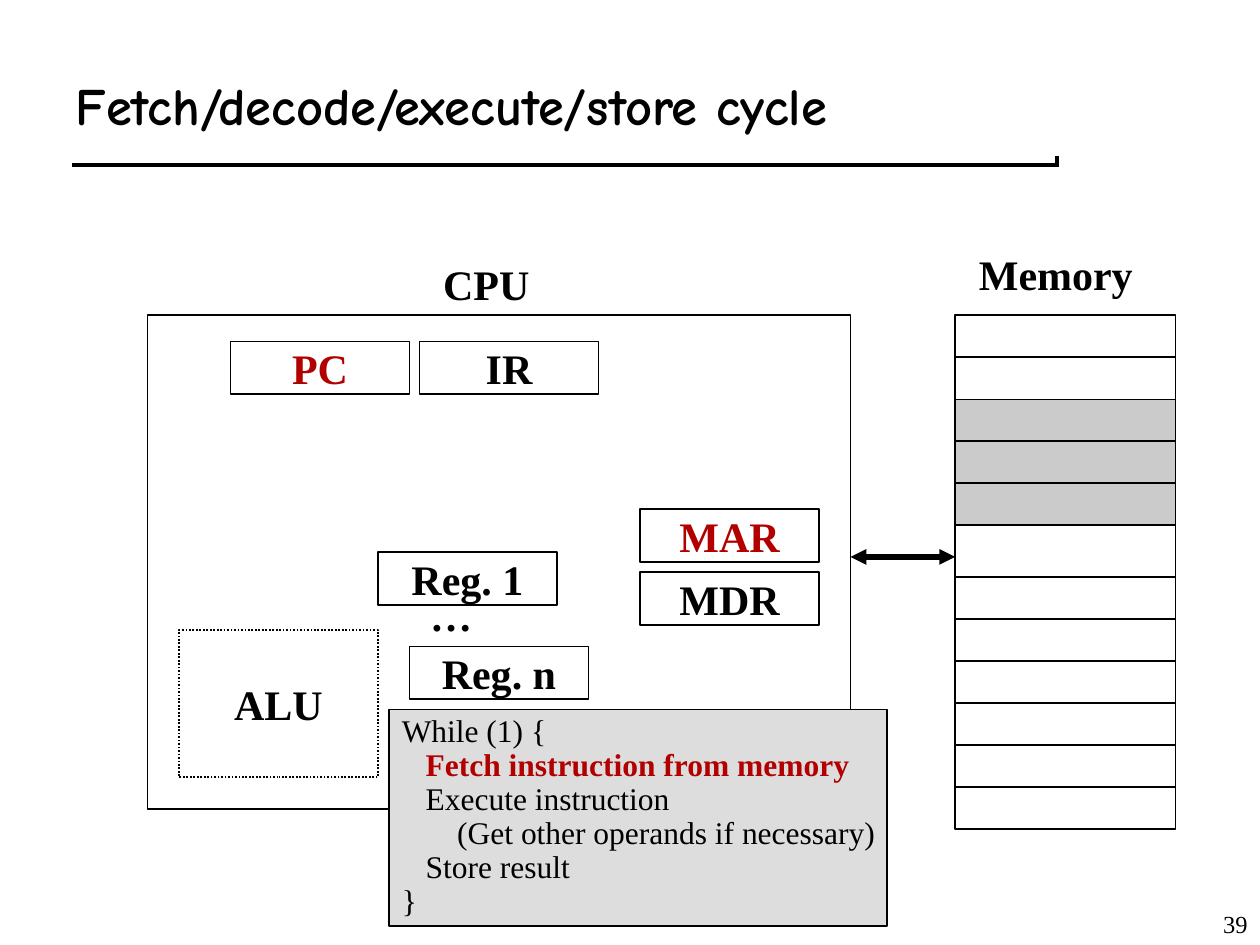
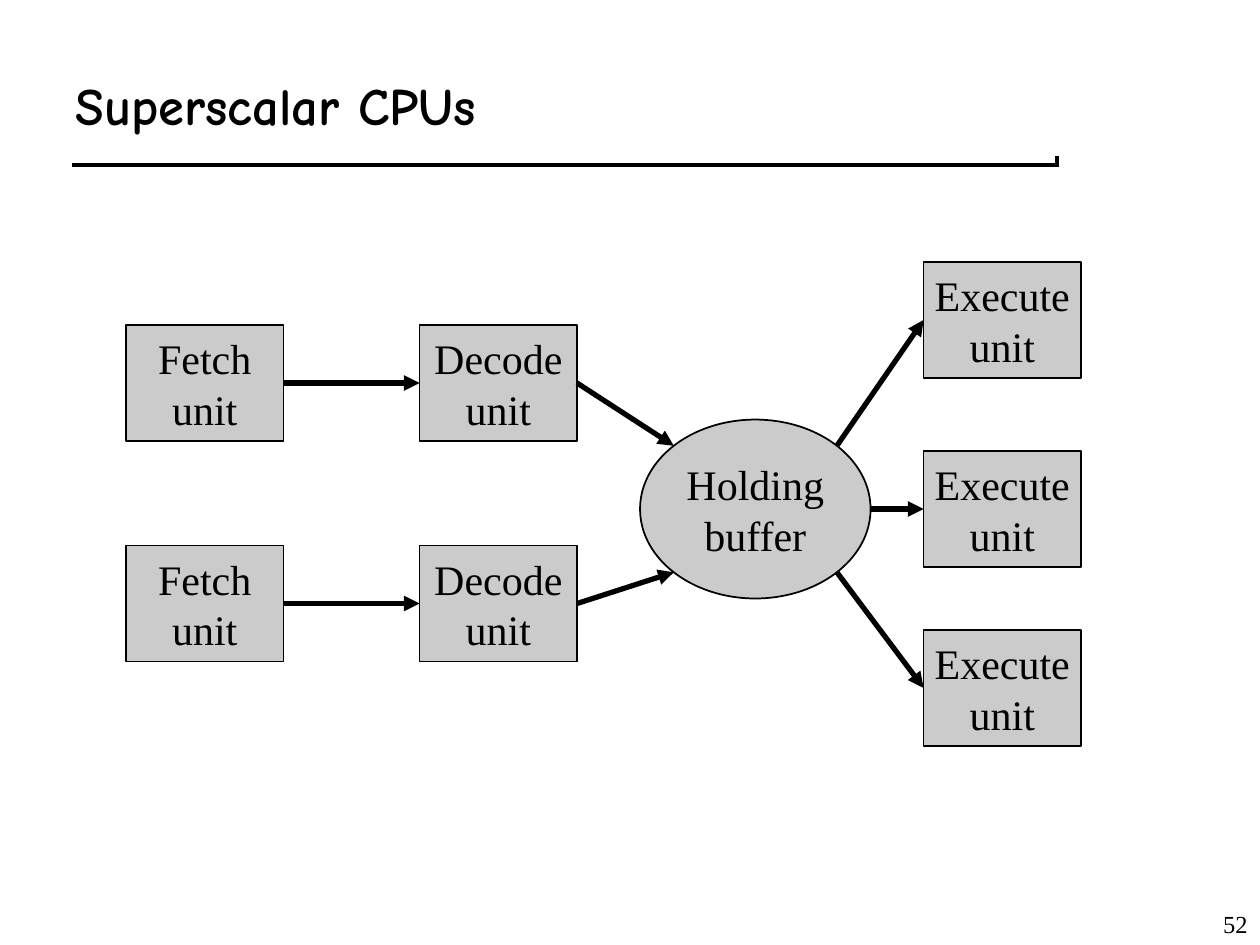
from math import sqrt

from lxml import etree
from pptx import Presentation
from pptx.dml.color import RGBColor
from pptx.enum.dml import MSO_LINE
from pptx.enum.shapes import MSO_CONNECTOR, MSO_SHAPE
from pptx.enum.text import MSO_ANCHOR, PP_ALIGN
from pptx.oxml.ns import qn
from pptx.util import Inches, Pt

RECT, OVAL = MSO_SHAPE.RECTANGLE, MSO_SHAPE.OVAL
STRAIGHT = MSO_CONNECTOR.STRAIGHT
DOTTED = MSO_LINE.ROUND_DOT
LEFT, CENTER, RIGHT = PP_ALIGN.LEFT, PP_ALIGN.CENTER, PP_ALIGN.RIGHT
TOP, MIDDLE, BOTTOM = MSO_ANCHOR.TOP, MSO_ANCHOR.MIDDLE, MSO_ANCHOR.BOTTOM

BLACK = RGBColor(0x00, 0x00, 0x00)
WHITE = RGBColor(0xFF, 0xFF, 0xFF)
RED = RGBColor(0xB2, 0x00, 0x00)
GREY = RGBColor(0xCB, 0xCB, 0xCB)
PALE_GREY = RGBColor(0xDD, 0xDD, 0xDD)

TITLE_FONT = "Comic Neue"
BODY_FONT = "Times New Roman"


def add_box(slide, kind, x, y, w, h, text="", fill=None, color=BLACK,
            size=24, bold=False, align=CENTER):
    """Add an outlined shape, or a plain text box when kind is None."""
    at = Inches(x), Inches(y), Inches(w), Inches(h)
    if kind is None:
        sp = slide.shapes.add_textbox(*at)
    else:
        sp = slide.shapes.add_shape(kind, *at)
        sp.shadow.inherit = False
        sp.line.color.rgb = BLACK
        sp.line.width = Pt(1)
        if fill is None:
            sp.fill.background()
        else:
            sp.fill.solid()
            sp.fill.fore_color.rgb = fill
    tf = sp.text_frame
    tf.word_wrap = False
    tf.vertical_anchor = MIDDLE
    tf.margin_top = tf.margin_bottom = 0
    tf.text = text
    for p in tf.paragraphs:
        p.alignment = align
        for r in p.runs:
            r.font.name = BODY_FONT
            r.font.size = Pt(size)
            r.font.bold = bold
            r.font.color.rgb = color
    return sp


def add_line(slide, x1, y1, x2, y2, width=1, color=BLACK, arrows=()):
    """Add a straight line; arrows may hold headEnd and tailEnd, in that order."""
    cx = slide.shapes.add_connector(STRAIGHT, Inches(x1), Inches(y1), Inches(x2), Inches(y2))
    cx.line.color.rgb = color
    cx.line.width = Pt(width)
    ln = cx.line._get_or_add_ln()
    for end in arrows:
        etree.SubElement(ln, qn("a:" + end), type="triangle")
    etree.SubElement(cx._element.spPr, qn("a:effectLst"))
    return cx


prs = Presentation()
prs.slide_width, prs.slide_height = Inches(10), Inches(7.5)

# Title, corner rule and number shared by both slides
slides = []
for title, number in (("Fetch/decode/execute/store cycle", "39"), ("Superscalar CPUs", "52")):
    slide = prs.slides.add_slide(prs.slide_layouts[5])
    slides.append(slide)
    for offset, color in ((0.03, BLACK), (0, WHITE)):
        rule = add_line(slide, 0.58 + offset, 1.25 + offset, 8.33 + offset, 1.25 + offset, 6, color)
        rule.line._get_or_add_ln().set("cap", "sq")

    sp = slide.shapes.title
    sp.left, sp.top, sp.width, sp.height = Inches(0.5), Inches(0.33), Inches(8.75), Inches(1)
    tf = sp.text_frame
    tf.text = title
    tf.vertical_anchor = MIDDLE
    p = tf.paragraphs[0]
    p.alignment = LEFT
    font = p.runs[0].font
    font.name, font.size, font.bold = TITLE_FONT, Pt(30), True
    font.color.rgb = BLACK

    tf = add_box(slide, None, 7.92, 7, 2.08, 0.5, number, size=14, align=RIGHT).text_frame
    tf.vertical_anchor = BOTTOM
    tf.margin_bottom = Inches(0.05)

cycle, superscalar = slides

# CPU with its registers
add_box(cycle, RECT, 1.17, 2.5, 5.58, 3.92)
for name, x, y, color in (
    ("PC", 1.83, 2.71, RED),
    ("IR", 3.33, 2.71, BLACK),
    ("MAR", 5.08, 4.04, RED),
    ("MDR", 5.08, 4.54, BLACK),
    ("Reg. 1", 3, 4.38, BLACK),
    ("Reg. n", 3.25, 5.13, BLACK),
):
    add_box(cycle, RECT, x, y, 1.42, 0.42, name, color=color, bold=True)
alu = add_box(cycle, RECT, 1.42, 5, 1.58, 1.17, "ALU", bold=True)
alu.line.dash_style = DOTTED
for label, x, y, w in (("CPU", 3.36, 2, 1), ("…", 3.28, 4.63, 0.6), ("Memory", 7.63, 1.92, 1.5)):
    add_box(cycle, None, x, y, w, 0.5, label, bold=True)

# Memory: one taller cell separates two runs of equal cells
MEM_X, MEM_W, CELL_H = 7.58, 1.75, 1 / 3
add_box(cycle, RECT, MEM_X, 3.17, MEM_W, 1, fill=GREY)
add_box(cycle, RECT, MEM_X, 2.5, MEM_W, 4.08)
for y in [2.5 + i * CELL_H for i in (1, 3, 4)] + [4.58 + i * CELL_H for i in range(6)]:
    add_line(cycle, MEM_X, y, MEM_X + MEM_W, y)
add_line(cycle, 6.75, 4.42, MEM_X, 4.42, 3, arrows=("headEnd", "tailEnd"))

# Pseudocode, indented by left margin
code = (
    ("While (1) {", 0),
    ("Fetch instruction from memory", 0.19),
    ("Execute instruction", 0.19),
    ("(Get other operands if necessary)", 0.44),
    ("Store result", 0.19),
    ("}", 0),
)
sp = add_box(cycle, RECT, 3.09, 5.63, 3.95, 1.72, "\n".join(line for line, _ in code),
             PALE_GREY, size=18, align=LEFT)
tf = sp.text_frame
tf.vertical_anchor = TOP
tf.margin_top = Inches(0.05)
for p, (_, indent) in zip(tf.paragraphs, code):
    p.line_spacing = 0.9
    p._p.get_or_add_pPr().set("marL", str(Inches(indent)))
fetch_font = tf.paragraphs[1].runs[0].font
fetch_font.bold = True
fetch_font.color.rgb = RED

# Superscalar pipeline: two fetch/decode lanes, a buffer, three execute units
UNIT_W, UNIT_H = 1.25, 0.92
BUF_X, BUF_Y, BUF_W, BUF_H = 5.08, 3.33, 1.83, 1.42
buf_cx, buf_cy = BUF_X + BUF_W / 2, BUF_Y + BUF_H / 2
diag_x, diag_y = BUF_W / 2 * sqrt(0.5), BUF_H / 2 * sqrt(0.5)

add_box(superscalar, OVAL, BUF_X, BUF_Y, BUF_W, BUF_H, "Holding\nbuffer", GREY)
for y, side in ((2.58, -1), (4.33, 1)):
    fetch = add_box(superscalar, RECT, 1, y, UNIT_W, UNIT_H, "Fetch\nunit", GREY)
    decode = add_box(superscalar, RECT, 3.33, y, UNIT_W, UNIT_H, "Decode\nunit", GREY)
    mid = y + UNIT_H / 2
    cx = add_line(superscalar, 2.25, mid, 3.33, mid, 3, arrows=("tailEnd",))
    cx.begin_connect(fetch, 3)
    cx.end_connect(decode, 1)
    cx = add_line(superscalar, 4.58, mid, buf_cx - diag_x, buf_cy + side * diag_y, 3,
                  arrows=("tailEnd",))
    cx.begin_connect(decode, 3)

for y, dx, dy in ((2.08, diag_x, -diag_y), (3.58, BUF_W / 2, 0), (5, diag_x, diag_y)):
    execute = add_box(superscalar, RECT, 7.33, y, UNIT_W, UNIT_H, "Execute\nunit", GREY)
    cx = add_line(superscalar, buf_cx + dx, buf_cy + dy, 7.33, y + UNIT_H / 2, 3,
                  arrows=("tailEnd",))
    cx.end_connect(execute, 1)

prs.save("out.pptx")
